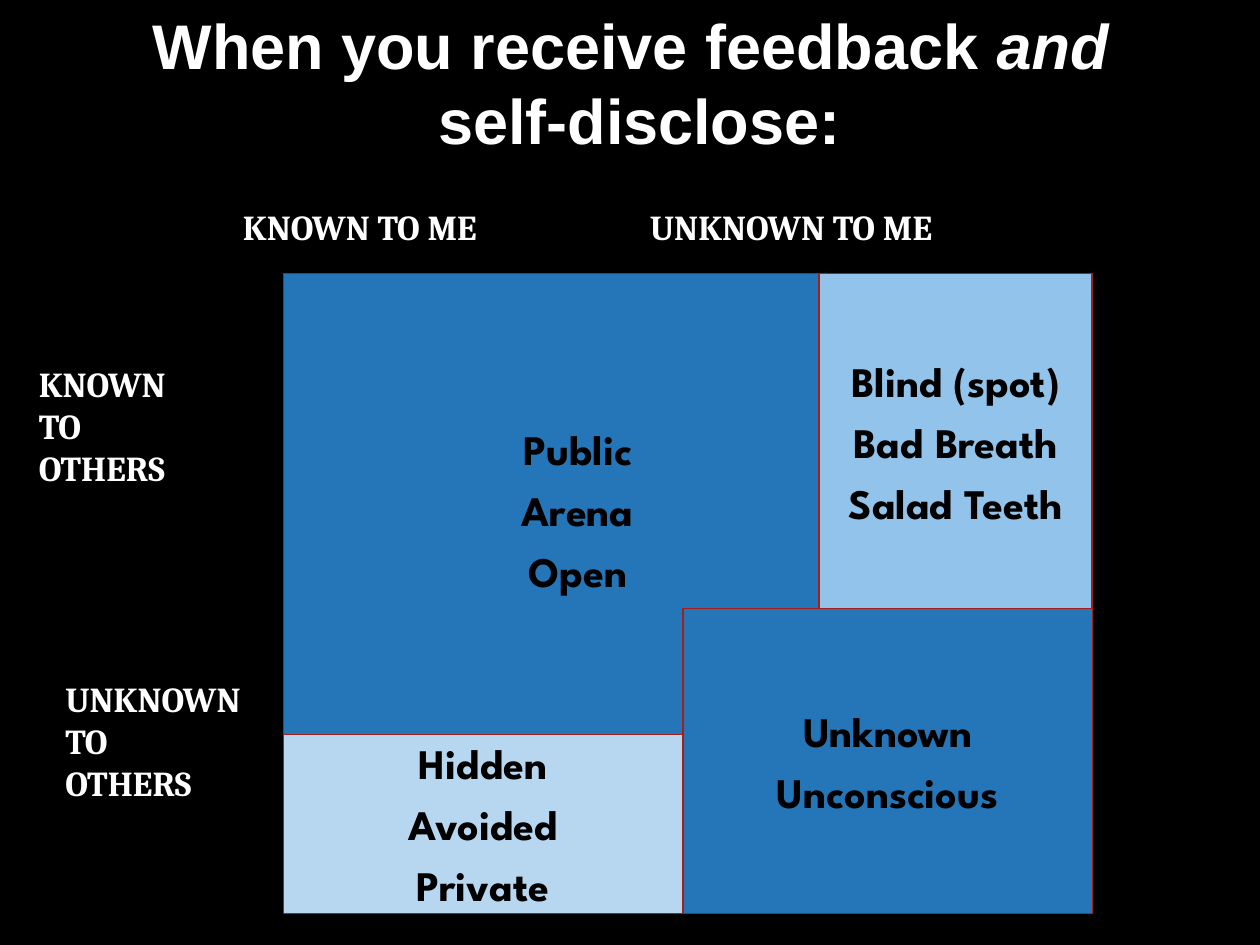
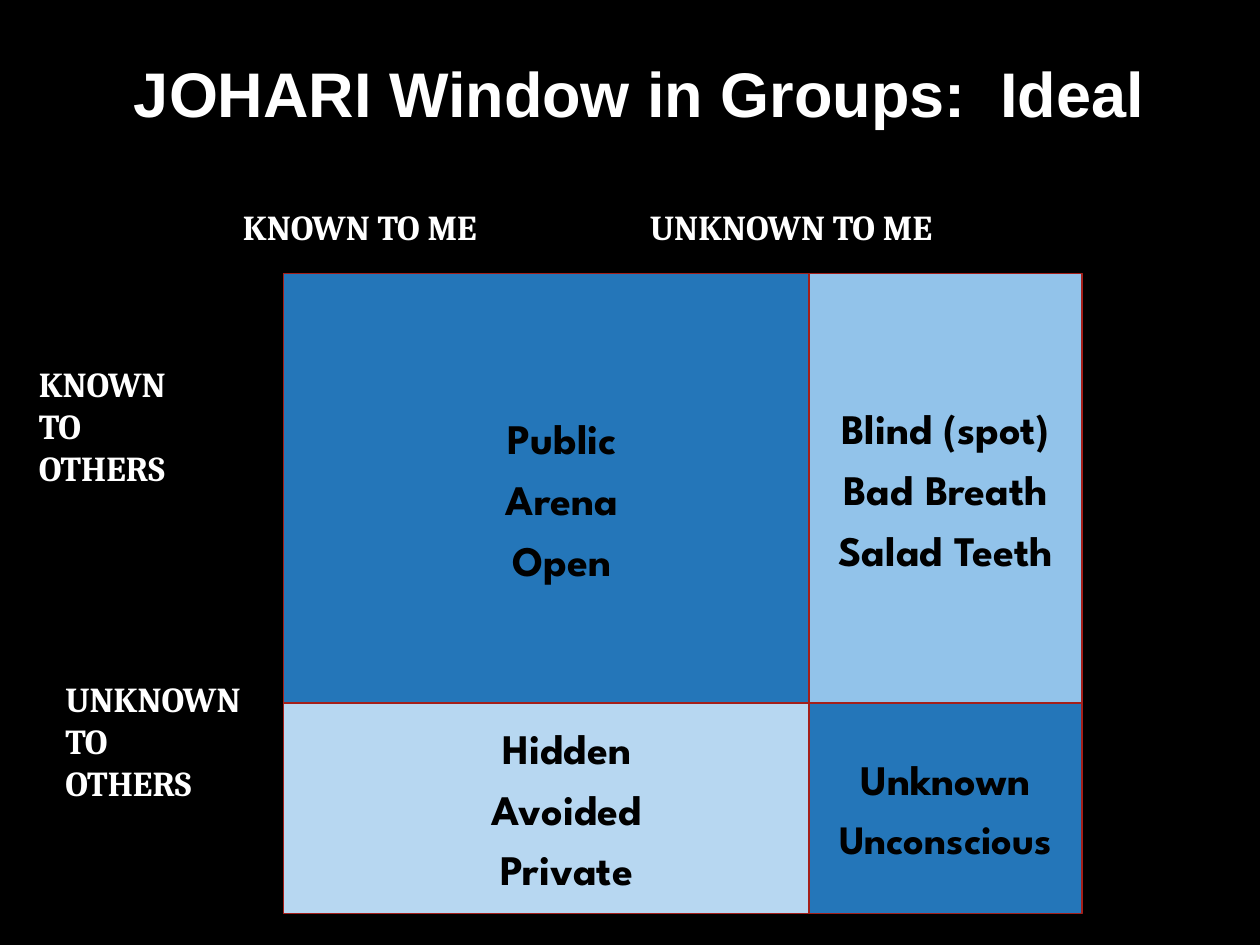
from pptx import Presentation
from pptx.dml.color import RGBColor
from pptx.enum.shapes import MSO_SHAPE
from pptx.enum.text import MSO_ANCHOR, MSO_AUTO_SIZE, PP_ALIGN
from pptx.util import Inches, Pt

RECTANGLE = MSO_SHAPE.RECTANGLE
MIDDLE = MSO_ANCHOR.MIDDLE
GROW = MSO_AUTO_SIZE.SHAPE_TO_FIT_TEXT
LEFT, CENTER = PP_ALIGN.LEFT, PP_ALIGN.CENTER

# Shared colours and fonts
BLACK = RGBColor(0x00, 0x00, 0x00)
WHITE = RGBColor(0xFF, 0xFF, 0xFF)
DARK_BLUE = RGBColor(0x24, 0x76, 0xB9)
MID_BLUE = RGBColor(0x92, 0xC3, 0xEA)
PALE_BLUE = RGBColor(0xB7, 0xD7, 0xF1)
RED = RGBColor(0xA4, 0x1F, 0x1A)
TITLE_FONT = "Arial"
LABEL_FONT = "Cambria"
PANE_FONT = "League Spartan"

# Window panes: fill and lines, in drawing order
PANES = [
    (DARK_BLUE, ["Public", "Arena", "Open"]),
    (MID_BLUE, ["Blind (spot)", "Bad Breath", "Salad Teeth"]),
    (PALE_BLUE, ["Hidden", "Avoided", "Private"]),
    (DARK_BLUE, ["Unknown", "Unconscious"]),
]

# Axis labels: box, lines, wrapping
LABELS = [
    ((1.83, 1.58, 2.39, 0.44), ["KNOWN TO ME"], False),
    ((5.06, 1.58, 2.84, 0.44), ["UNKNOWN TO ME"], False),
    ((0.21, 2.83, 1.46, 1.1), ["KNOWN", "TO", "OTHERS"], False),
    ((0.42, 5.33, 1.75, 1.44), ["UNKNOWN", "TO", "OTHERS"], True),
]

# Pane boxes (left, top, width, height) for each state of the window
FEEDBACK_BOXES = [
    (2.25, 2.17, 4.67, 3.75),
    (6.5, 2.17, 2.17, 2.67),
    (2.25, 5.83, 3.17, 1.42),
    (5.42, 4.83, 3.25, 2.42),
]
IDEAL_BOXES = [
    (2.25, 2.17, 4.42, 3.58),
    (6.42, 2.17, 2.17, 3.42),
    (2.25, 5.58, 4.5, 1.67),
    (6.42, 5.58, 2.17, 1.67),
]


def inches(box):
    return [Inches(length) for length in box]


def write_lines(text_frame, lines, font_name, size, color, align, gap=0):
    text_frame.text = "\n".join(lines)
    for index, paragraph in enumerate(text_frame.paragraphs):
        paragraph.alignment = align
        if index and gap:
            paragraph.space_before = Pt(gap)
        for run in paragraph.runs:
            run.font.name = font_name
            run.font.size = Pt(size)
            run.font.bold = True
            run.font.color.rgb = color


def add_text(slide, box, lines, font_name, size, align, wrap=True):
    text_frame = slide.shapes.add_textbox(*inches(box)).text_frame
    text_frame.word_wrap = wrap
    text_frame.auto_size = GROW
    write_lines(text_frame, lines, font_name, size, WHITE, align)
    return text_frame


def add_title(slide, top, height, lines):
    box = (0.92, top, 8.31, height)
    return add_text(slide, box, lines, TITLE_FONT, 36, CENTER)


def add_pane(slide, box, fill, lines):
    shape = slide.shapes.add_shape(RECTANGLE, *inches(box))
    shape.shadow.inherit = False
    shape.fill.solid()
    shape.fill.fore_color.rgb = fill
    shape.line.color.rgb = RED
    shape.line.width = Pt(1)
    text_frame = shape.text_frame
    text_frame.word_wrap = True
    text_frame.vertical_anchor = MIDDLE
    write_lines(text_frame, lines, PANE_FONT, 24, BLACK, CENTER, gap=6)
    return text_frame


def add_window_slide(presentation, boxes):
    """Add a black slide with the panes and axis labels; return it with its panes."""
    slide = presentation.slides.add_slide(presentation.slide_layouts[6])
    slide.background.fill.solid()
    slide.background.fill.fore_color.rgb = BLACK
    panes = [add_pane(slide, box, *pane) for box, pane in zip(boxes, PANES)]
    for box, lines, wrap in LABELS:
        add_text(slide, box, lines, LABEL_FONT, 20, LEFT, wrap)
    return slide, panes


def main():
    presentation = Presentation()
    presentation.slide_width = Inches(10)
    presentation.slide_height = Inches(7.5)

    # Feedback and self-disclosure
    slide, _ = add_window_slide(presentation, FEEDBACK_BOXES)
    title = add_title(slide, 0, 1.3, ["When you receive feedback ", "self-disclose:"])
    emphasis = title.paragraphs[0].add_run()
    emphasis.text = "and "
    emphasis.font.name = TITLE_FONT
    emphasis.font.size = Pt(36)
    emphasis.font.bold = True
    emphasis.font.italic = True
    emphasis.font.color.rgb = WHITE

    # Ideal window in groups
    slide, panes = add_window_slide(presentation, IDEAL_BOXES)
    add_title(slide, 0.38, 0.7, ["JOHARI Window in Groups:  Ideal"])
    unconscious = panes[-1].paragraphs[1]
    unconscious.space_before = Pt(5.8)
    unconscious.runs[0].font.size = Pt(23)

    presentation.save("out.pptx")


if __name__ == "__main__":
    main()
